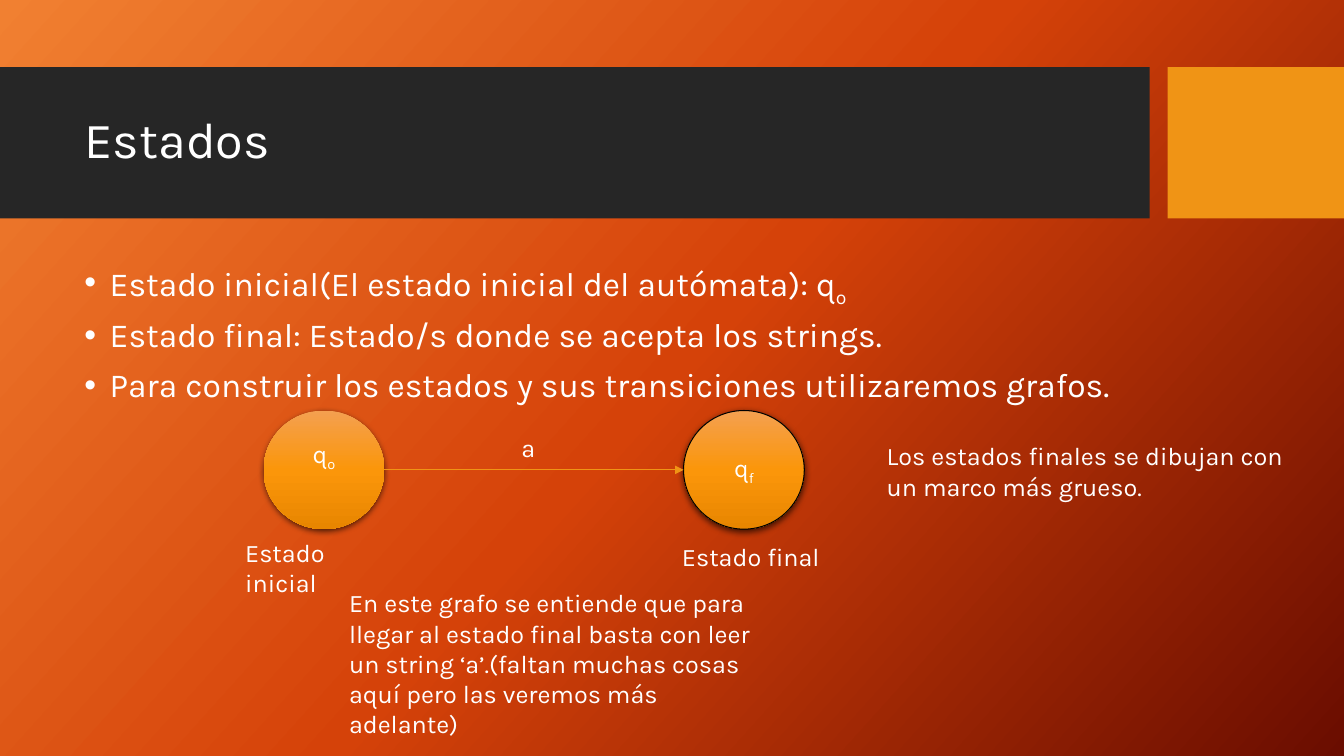
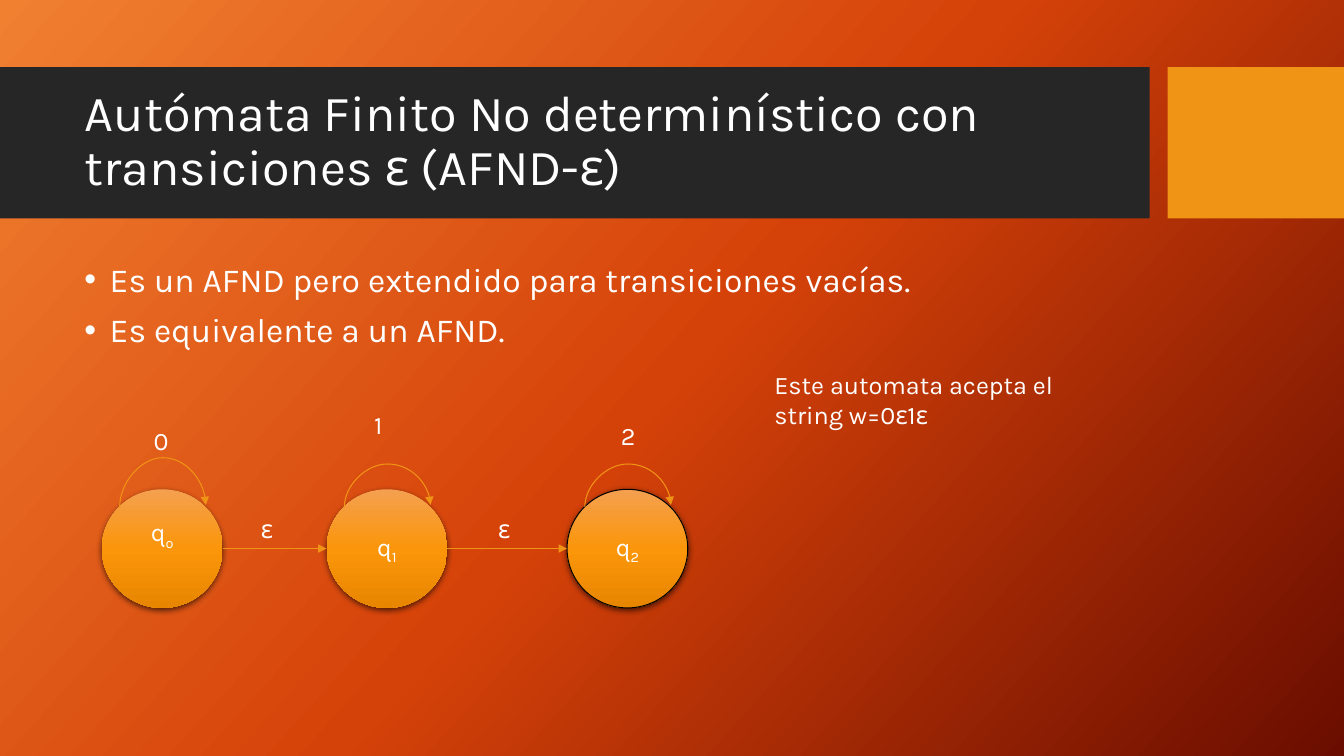
"""Build two slides on automaton states and empty transitions."""
from itertools import pairwise

from lxml.etree import SubElement
from pptx import Presentation
from pptx.dml.color import RGBColor
from pptx.enum.shapes import MSO_CONNECTOR as Wire, MSO_SHAPE as Form
from pptx.enum.text import MSO_ANCHOR as Anchor, MSO_AUTO_SIZE as Fit, PP_ALIGN as Align
from pptx.oxml.ns import qn
from pptx.util import Pt

PX = 9525
FONT = "Karla"
WHITE = RGBColor(0xFF, 0xFF, 0xFF)
BLACK = RGBColor(0, 0, 0)
DARK = RGBColor(0x26, 0x26, 0x26)
AMBER = RGBColor(0xF0, 0x94, 0x15)
BACK = [RGBColor(0xF1, 0x80, 0x31), RGBColor(0xD5, 0x42, 0x09), RGBColor(0x6A, 0x0D, 0x00)]
BALL = [RGBColor(0xF4, 0xA0, 0x50), RGBColor(0xFB, 0x96, 0x0A), RGBColor(0xE8, 0x86, 0x00)]

BANDS = [((0, 64, 1095, 144), DARK), ((1112, 64, 168, 144), AMBER)]
TITLE = (71, 79, 1009, 113)
WIDE, HIGH = 115, 113
INSET, LIFT = 5, 33

SLIDES = [
    {
        "title": "Estados",
        "points": [
            [("Estado inicial(El estado inicial del autómata): q", False), ("o", True)],
            [("Estado final: Estado/s donde se acepta los strings.", False)],
            [("Para construir los estados y sus transiciones utilizaremos grafos.", False)],
        ],
        "body": (71, 246, 1009, 146),
        "top": 391,
        "states": [(251, "o", 0), (651, "f", 0)],
        "notes": [
            (487, 407, 29, "a"),
            (224, 507, 168, "Estado inicial"),
            (640, 511, 168, "Estado final"),
            (323, 555, 419, "En este grafo se entiende que para llegar al estado final basta "
             "con leer un string ‘a’.(faltan muchas cosas aquí pero las veremos más adelante)"),
            (835, 415, 419, "Los estados finales se dibujan con un marco más grueso."),
        ],
    },
    {
        "title": "Autómata Finito No determinístico con transiciones ε (AFND-ε)",
        "points": [
            [("Es un AFND pero extendido para transiciones vacías.", False)],
            [("Es equivalente a un AFND.", False)],
        ],
        "body": (71, 246, 1009, 378),
        "top": 466,
        "states": [(97, "o", 47), (311, "1", 41), (540, "2", 41)],
        "notes": [
            (137, 400, 34, "0"),
            (239, 484, 34, "ε"),
            (465, 484, 34, "ε"),
            (347, 385, 34, "1"),
            (582, 396, 34, "2"),
            (728, 347, 347, "Este automata acepta el string w=0ε1ε"),
        ],
    },
]


def px(nums):
    return [n * PX for n in nums]


def write(para, runs, size):
    for text, sub in runs:
        run = para.add_run()
        run.text = text
        run.font.name = FONT
        run.font.size = Pt(size)
        run.font.color.rgb = WHITE
        if sub:
            run._r.get_or_add_rPr().set("baseline", "-25000")


def grade(fill, root, tones, turn):
    fill.gradient()
    fill.gradient_angle = 360 - turn
    stops = root.find(".//" + qn("a:gsLst"))
    for stop in list(stops):
        stops.remove(stop)
    for i, tone in enumerate(tones):
        stop = SubElement(stops, qn("a:gs"), pos=str(i * 50000))
        SubElement(stop, qn("a:srgbClr"), val=str(tone))


def add_bands(slide, master):
    for box, tone in BANDS:
        band = slide.shapes.add_shape(Form.RECTANGLE, *px(box))
        band.shadow.inherit = False
        band.fill.solid()
        band.fill.fore_color.rgb = tone
        band.line.fill.background()
        master.shapes.element.append(band.element)


def add_title(slide, text):
    title = slide.shapes.title
    title.left, title.top, title.width, title.height = px(TITLE)
    frame = title.text_frame
    frame.auto_size = Fit.NONE
    frame.vertical_anchor = Anchor.MIDDLE
    para = frame.paragraphs[0]
    para.alignment = Align.LEFT
    para.line_spacing = 0.9
    write(para, [(text, False)], 36)


def add_frame(slide, box):
    frame = slide.shapes.add_textbox(*px(box)).text_frame
    frame.word_wrap = True
    return frame


def add_points(slide, box, points):
    frame = add_frame(slide, box)
    for i, runs in enumerate(points):
        para = frame.add_paragraph() if i else frame.paragraphs[0]
        props = para._p.get_or_add_pPr()
        props.set("marL", str(24 * PX))
        props.set("indent", str(-24 * PX))
        SubElement(props, qn("a:buFont"), typeface="Arial")
        SubElement(props, qn("a:buChar"), char="•")
        para.line_spacing = 0.9
        if i:
            para.space_before = Pt(10)
        write(para, runs, 24)


def add_state(slide, left, top, mark, final):
    ball = slide.shapes.add_shape(Form.OVAL, *px((left, top, WIDE, HIGH)))
    grade(ball.fill, ball.element, BALL, 90)
    if final:
        ball.line.color.rgb = BLACK
        ball.line.width = Pt(0.75)
    else:
        ball.line.fill.background()
    ball.shadow.inherit = False
    glow = SubElement(ball.element.spPr.find(qn("a:effectLst")), qn("a:outerShdw"),
                      blurRad="57150", dist="19050", dir="5400000",
                      algn="ctr", rotWithShape="0")
    tone = SubElement(glow, qn("a:srgbClr"), val=str(BLACK))
    SubElement(tone, qn("a:alpha"), val="63000")
    frame = ball.text_frame
    frame.vertical_anchor = Anchor.MIDDLE
    frame.margin_bottom = (LIFT if mark == "o" else INSET) * PX
    para = frame.paragraphs[0]
    para.alignment = Align.CENTER
    write(para, [("q", False), (mark, True)], 18)


def add_arrow(slide, kind, ends):
    wire = slide.shapes.add_connector(kind, *px(ends))
    wire.line.color.rgb = AMBER
    wire.line.width = Pt(0.75)
    SubElement(wire.line._get_or_add_ln(), qn("a:tailEnd"), type="triangle")
    props = wire.element.spPr
    SubElement(props, qn("a:effectLst"))
    return props


def add_loop(slide, left, top, rise):
    mid, row, half = left + 58, top + 16, 41
    props = add_arrow(slide, Wire.CURVE, (mid + 1, row + half, mid - 1, row - half))
    props.find(qn("a:xfrm")).set("rot", "5400000")
    SubElement(props.find(".//" + qn("a:avLst")), qn("a:gd"),
               name="adj1", fmla=f"val {rise * 50000}")


def add_graph(slide, states, top):
    final = states[-1]
    for state in states:
        left, mark, rise = state
        add_state(slide, left, top, mark, state is final)
        if rise:
            add_loop(slide, left, top, rise)
    row = top + HIGH / 2
    for (left, *_), (right, *_) in pairwise(states):
        add_arrow(slide, Wire.STRAIGHT, [int(n) if n != row else row
                                         for n in (left + WIDE, row, right, row)])


def main():
    deck = Presentation()
    deck.slide_width, deck.slide_height = px((1280, 720))
    master = deck.slide_master
    grade(master.background.fill, master.element, BACK, 42)
    for i, page in enumerate(SLIDES):
        slide = deck.slides.add_slide(deck.slide_layouts[5])
        if i == 0:
            add_bands(slide, master)
        add_title(slide, page["title"])
        add_points(slide, page["body"], page["points"])
        add_graph(slide, page["states"], page["top"])
        for left, top, wide, text in page["notes"]:
            frame = add_frame(slide, (left, top, wide, 38))
            write(frame.paragraphs[0], [(text, False)], 18)
    deck.save("out.pptx")


if __name__ == "__main__":
    main()
